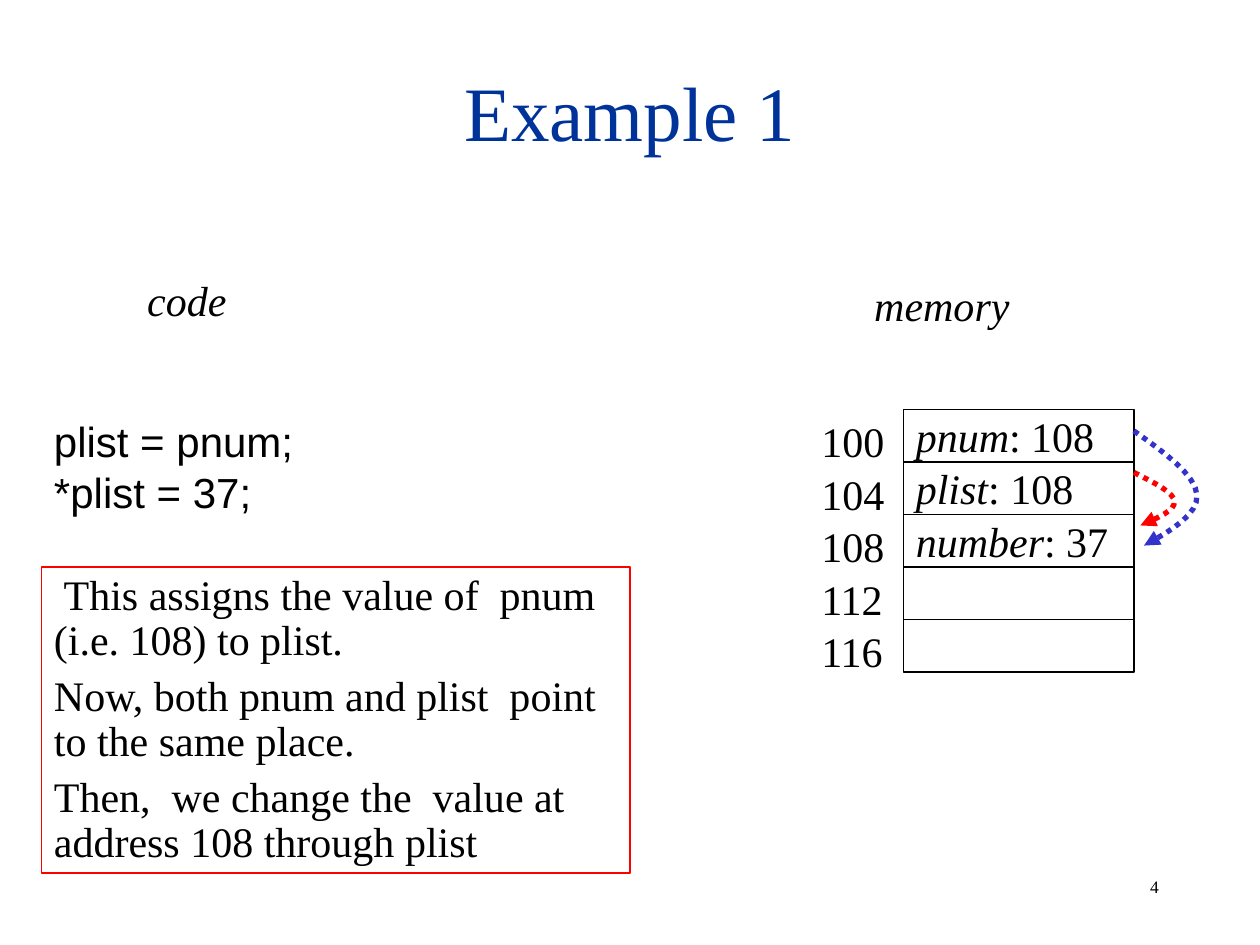
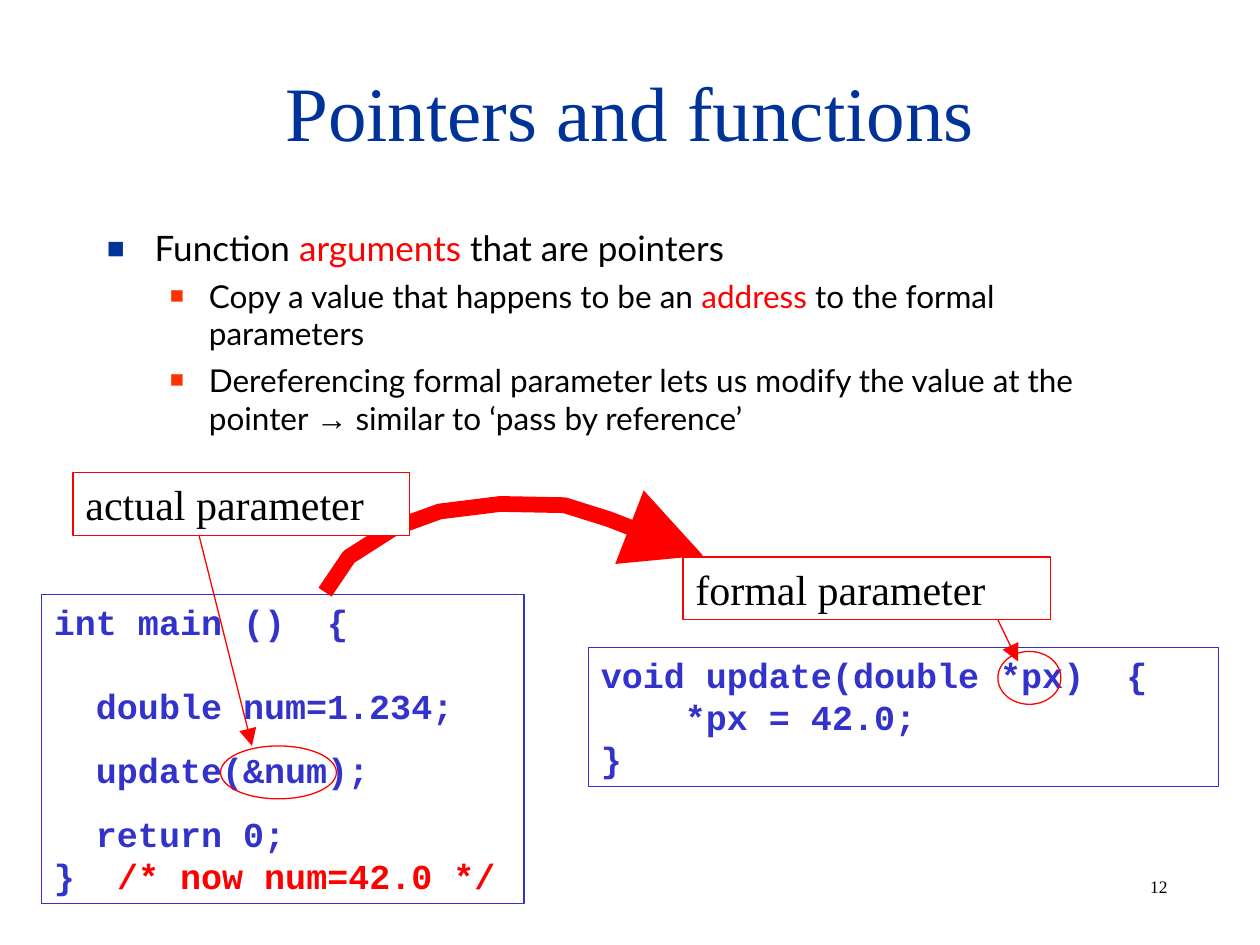
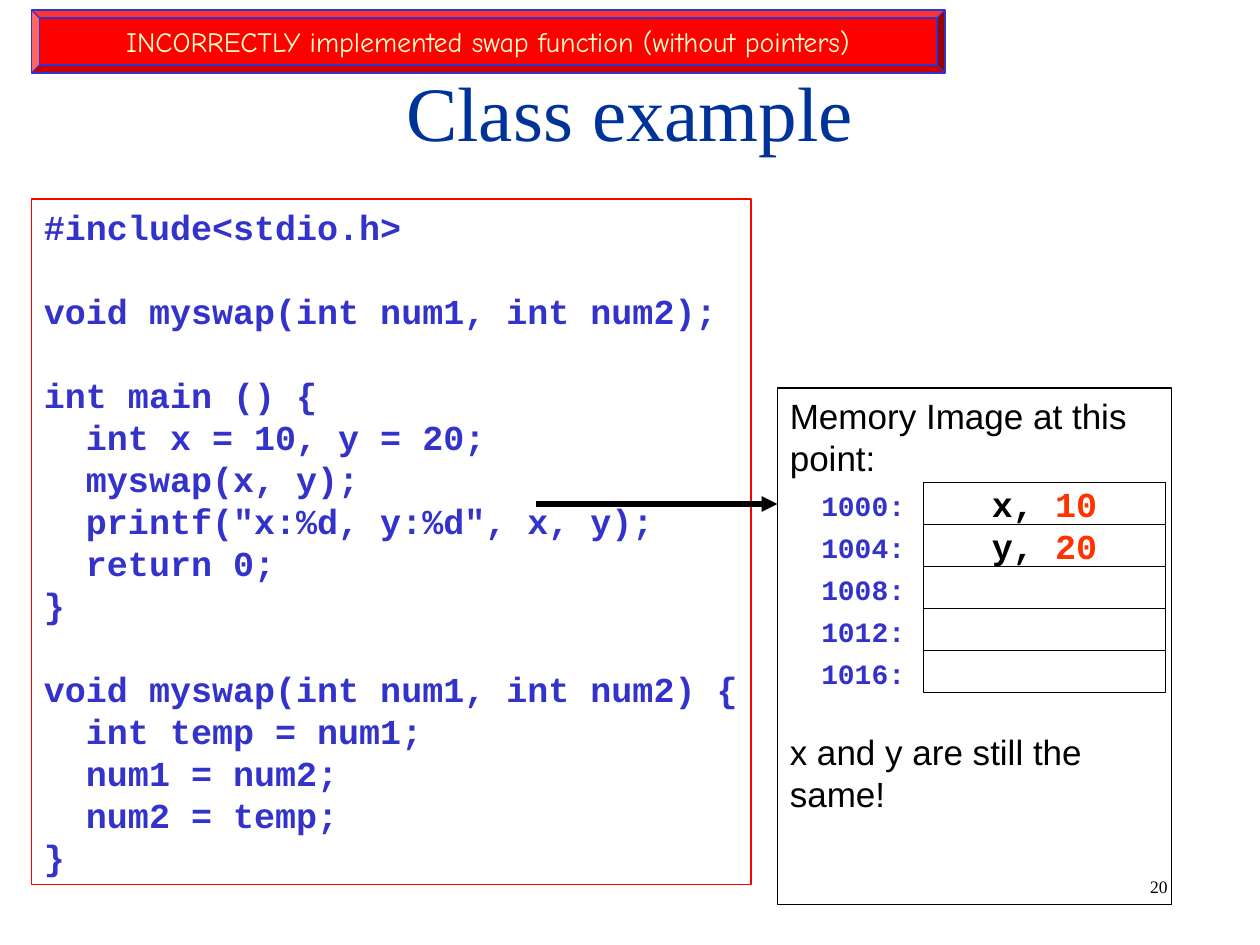
from copy import deepcopy
from dataclasses import dataclass

from lxml import etree
from pptx import Presentation
from pptx import util as u
from pptx.dml.color import RGBColor
from pptx.enum import dml, shapes, text
from pptx.oxml.ns import qn


@dataclass(frozen=True)
class Theme:
    black: str = "000000"
    white: str = "FFFFFF"
    navy: str = "003399"
    blue: str = "3333CC"
    red: str = "FF0000"
    orange: str = "FF3300"
    cream: str = "FFFFCC"
    serif: str = "Times New Roman"
    sans: str = "Arial"
    mono: str = "Courier New"
    body: str = "Lato"
    comic: str = "Comic Neue"
    title_size: int = 44
    large: int = 24
    medium: int = 20
    small: int = 18
    label: int = 16
    footer: int = 10
    thin: float = 0.75
    thick: int = 3
    heavy: int = 9


theme = Theme()
RECTANGLE = shapes.MSO_SHAPE.RECTANGLE
CENTER = text.PP_ALIGN.CENTER
MIDDLE = text.MSO_ANCHOR.MIDDLE


def add_box(slide, at, paragraphs=(), kind=None, fill=None, line=None, font=theme.serif,
            size=theme.large, color=theme.black, bold=False, italic=False, align=None,
            anchor=text.MSO_ANCHOR.TOP, wrap=True, before=0, leading=1.2):
    place = [u.Inches(value) for value in at]
    if kind is None:
        shape = slide.shapes.add_textbox(*place)
    else:
        shape = slide.shapes.add_shape(kind, *place)
        shape.shadow.inherit = False
        if fill:
            shape.fill.solid()
            shape.fill.fore_color.rgb = RGBColor.from_string(fill)
        else:
            shape.fill.background()
        shape.line.color.rgb = RGBColor.from_string(line)
        shape.line.width = u.Pt(theme.thin)
    frame = shape.text_frame
    frame.word_wrap = wrap
    if not wrap:
        frame.margin_right = 0
    frame.vertical_anchor = anchor
    for index, pieces in enumerate(paragraphs):
        paragraph = frame.add_paragraph() if index else frame.paragraphs[0]
        paragraph.alignment = align or text.PP_ALIGN.LEFT
        if leading:
            paragraph.line_spacing = u.Pt(round(size * leading, 1))
        if index and before:
            paragraph.space_before = u.Pt(before)
        paragraph.text = pieces[0][0]
        styled = [(run, pieces[0][1]) for run in paragraph.runs]
        for words, changes in pieces[1:]:
            run = paragraph.add_run()
            run.text = words
            styled.append((run, changes))
        for run, changes in styled:
            look = {"name": font, "size": size, "color": color,
                    "bold": bold, "italic": italic} | changes
            run.font.name = look["name"]
            run.font.size = u.Pt(look["size"])
            run.font.bold = look["bold"]
            run.font.italic = look["italic"]
            run.font.color.rgb = RGBColor.from_string(look["color"])
        for line_break in paragraph._p.findall(qn("a:br")):
            line_break.append(deepcopy(paragraph.runs[0]._r.rPr))
    return shape


def add_arrow(slide, points, color, width=theme.thin, dash=None, head="med"):
    spots = [(u.Inches(x), u.Inches(y)) for x, y in points]
    if len(spots) == 2:
        arrow = slide.shapes.add_connector(shapes.MSO_CONNECTOR.STRAIGHT, *spots[0], *spots[1])
    else:
        builder = slide.shapes.build_freeform(*spots[0])
        builder.add_line_segments(spots[1:], close=False)
        arrow = builder.convert_to_shape()
        arrow.fill.background()
    arrow.line.color.rgb = RGBColor.from_string(color)
    arrow.line.width = u.Pt(width)
    if dash:
        arrow.line.dash_style = dash
    outline = arrow._element.spPr.find(qn("a:ln"))
    etree.SubElement(outline, qn("a:tailEnd"), type="triangle", w=head, len=head)
    etree.SubElement(arrow._element.spPr, qn("a:effectLst"))


presentation = Presentation()
presentation.slide_width = u.Inches(10)
presentation.slide_height = u.Inches(7.5)

slides = []
for title, number in (("Example 1", "4"), ("Pointers and functions", "12"), ("Class example", "20")):
    slide = presentation.slides.add_slide(presentation.slide_layouts[6])
    add_box(slide, (9.03, 6.9, 0.78, 0.27), [[(number, {})]], size=theme.footer, wrap=False)
    add_box(slide, (0.75, 0.25, 8.5, 1.25), [[(title, {})]], size=theme.title_size,
            color=theme.navy, align=CENTER, anchor=MIDDLE)
    slides.append(slide)
example, functions, swap = slides

add_box(example, (0.33, 3.25, 4.32, 0.9), [[("plist = pnum;", {})], [("*plist = 37;", {})]],
        font=theme.sans)
add_box(example, (1.07, 2.13, 0.83, 0.5), [[("code", {})]], italic=True, wrap=False)
add_box(example, (6.84, 2.17, 1.27, 0.5), [[("memory", {})]], italic=True, wrap=False)
explanation = (
    " This assigns the value of  pnum (i.e. 108) to plist.",
    "Now, both pnum and plist  point to the same place.",
    "Then,  we change the  value at address 108 through plist",
)
add_box(example, (0.33, 4.5, 4.67, 2.43), [[(sentence, {})] for sentence in explanation],
        RECTANGLE, line=theme.red, before=6, leading=1.08)

variables = (("pnum", ": 108"), ("plist", ": 108"), ("number", ": 37"), None, None)
for row, variable in enumerate(variables):
    top = 3.25 + row * 1.25 / 3
    content = [[(variable[0], {"italic": True}), (variable[1], {})]] if variable else []
    add_box(example, (7.17, top, 1.83, 1.25 / 3), content, RECTANGLE, theme.white, theme.black,
            anchor=MIDDLE)
    add_box(example, (6.42, top, 0.7, 0.5), [[(str(100 + 4 * row), {})]], wrap=False)

pointer_curves = (
    (theme.blue, ((9, 3.42), (9.24, 3.59), (9.49, 3.77), (9.5, 3.93),
                  (9.51, 4.08), (9.3, 4.21), (9.08, 4.33))),
    (theme.red, ((9, 3.75), (9.16, 3.83), (9.32, 3.91), (9.32, 3.98),
                 (9.33, 4.05), (9.19, 4.11), (9.05, 4.17))),
)
steps = 8
for color, controls in pointer_curves:
    points = [controls[0]]
    for first in (0, 3):
        a, b, c, d = controls[first:first + 4]
        for step in range(1, steps + 1):
            t = step / steps
            weights = ((1 - t) ** 3, 3 * t * (1 - t) ** 2, 3 * t ** 2 * (1 - t), t ** 3)
            points.append([sum(w * p[axis] for w, p in zip(weights, (a, b, c, d)))
                           for axis in (0, 1)])
    add_arrow(example, points, color, theme.thick, dml.MSO_LINE.ROUND_DOT)

red = {"color": theme.red}
body = add_box(functions, (0.75, 1.75, 8.5, 2.08), [
    [("Function ", {"size": theme.medium}), ("arguments", red | {"size": theme.medium}),
     (" that are pointers", {"size": theme.medium})],
    [("Copy a value that happens to be an ", {}), ("address", red),
     (" to the formal parameters", {})],
    [("Dereferencing formal parameter lets us modify the value at the pointer ", {}),
     ("→", {"name": theme.sans}), (" similar to ‘pass by reference’", {})],
], font=theme.body, size=theme.small, leading=None)
bullets = ((0, 0.38, -0.38, theme.navy, 85, 0), (1, 0.81, -0.31, theme.orange, 75, 4.5),
           (1, 0.81, -0.31, theme.orange, 75, 5))
for paragraph, (level, margin, indent, color, percent, before) in zip(
        body.text_frame.paragraphs, bullets):
    properties = paragraph._p.get_or_add_pPr()
    properties.set("marL", str(u.Inches(margin)))
    properties.set("indent", str(u.Inches(indent)))
    bullet_color = etree.SubElement(properties, qn("a:buClr"))
    etree.SubElement(bullet_color, qn("a:srgbClr"), val=color)
    etree.SubElement(properties, qn("a:buSzPct"), val=str(percent * 1000))
    etree.SubElement(properties, qn("a:buFont"), typeface=theme.sans)
    etree.SubElement(properties, qn("a:buChar"), char="■")
    paragraph.level = level
    if before:
        paragraph.space_before = u.Pt(before)

code_style = {"font": theme.mono, "size": theme.medium, "color": theme.blue, "bold": True}
add_box(functions, (0.33, 4.72, 3.83, 2.45), [
    [("int main ()  {\n\n  double num=1.234;", {})],
    [("  update(&num);", {})],
    [("  return 0;\n}  ", {}), ("/* now num=42.0 */", red)],
], RECTANGLE, line=theme.blue, before=12.5, **code_style)
add_box(functions, (4.67, 5.14, 5, 1.1), [[("void update(double *px)  {\n    *px = 42.0;\n}", {})]],
        RECTANGLE, line=theme.blue, **code_style)
add_box(functions, (5.42, 4.42, 2.92, 0.5), [[("formal parameter", {})]],
        RECTANGLE, theme.white, theme.red)
for highlight in ((1.75, 5.92, 0.92, 0.42), (7.92, 5.17, 0.5, 0.42)):
    add_box(functions, highlight, kind=shapes.MSO_SHAPE.OVAL, line=theme.red)
add_arrow(functions, ((1.58, 4.25), (2, 5.92)), theme.red, head="lg")
add_arrow(functions, ((7.92, 4.92), (8.08, 5.25)), theme.red, head="lg")
add_arrow(functions, ((2.58, 4.7), (2.77, 4.42), (3.13, 4.19), (3.49, 4.06), (3.97, 4),
                      (4.48, 4.01), (4.83, 4.12), (5.58, 4.41)),
          theme.red, theme.heavy, head="lg")
add_box(functions, (0.58, 3.75, 2.67, 0.5), [[("actual parameter", {})]],
        RECTANGLE, theme.white, theme.red)

add_box(swap, (6.17, 3.08, 3.13, 4.1),
        [[("Memory Image at this point:", {})], [("x and y are still the same!", {})]],
        RECTANGLE, line=theme.black, font=theme.sans, size=theme.medium, before=144)
for row, variable in enumerate((("x, ", "10"), ("y, ", "20"), None, None, None)):
    top = 3.83 + row / 3
    content = [[(variable[0], {}), (variable[1], {"color": theme.orange})]] if variable else []
    add_box(swap, (7.33, top, 1.92, 1 / 3), content, RECTANGLE, line=theme.black,
            align=CENTER, anchor=MIDDLE, **code_style | {"color": theme.black})
    add_box(swap, (6.42, top, 0.86, 0.37), [[(f"{1000 + 4 * row}:", {})]], wrap=False,
            **code_style | {"size": theme.label})
banner = add_box(swap, (0.25, 0.08, 7.25, 0.5),
                 [[("INCORRECTLY implemented swap function (without pointers)", {})]],
                 shapes.MSO_SHAPE.BEVEL, theme.red, theme.blue, font=theme.comic,
                 size=theme.label, color=theme.cream, align=CENTER, anchor=MIDDLE)
banner.adjustments[0] = 0.125
swap_code = """#include<stdio.h>

void myswap(int num1, int num2);

int main () {
  int x = 10, y = 20;
  myswap(x, y);
  printf("x:%d, y:%d", x, y);
  return 0;
}

void myswap(int num1, int num2) {
  int temp = num1;
  num1 = num2;
  num2 = temp;
}"""
add_box(swap, (0.25, 1.58, 5.71, 5.44), [[(swap_code, {})]], RECTANGLE, line=theme.red,
        wrap=False, **code_style)
add_arrow(swap, ((4.25, 4), (6.17, 4)), theme.black, theme.thick)

presentation.save("out.pptx")
